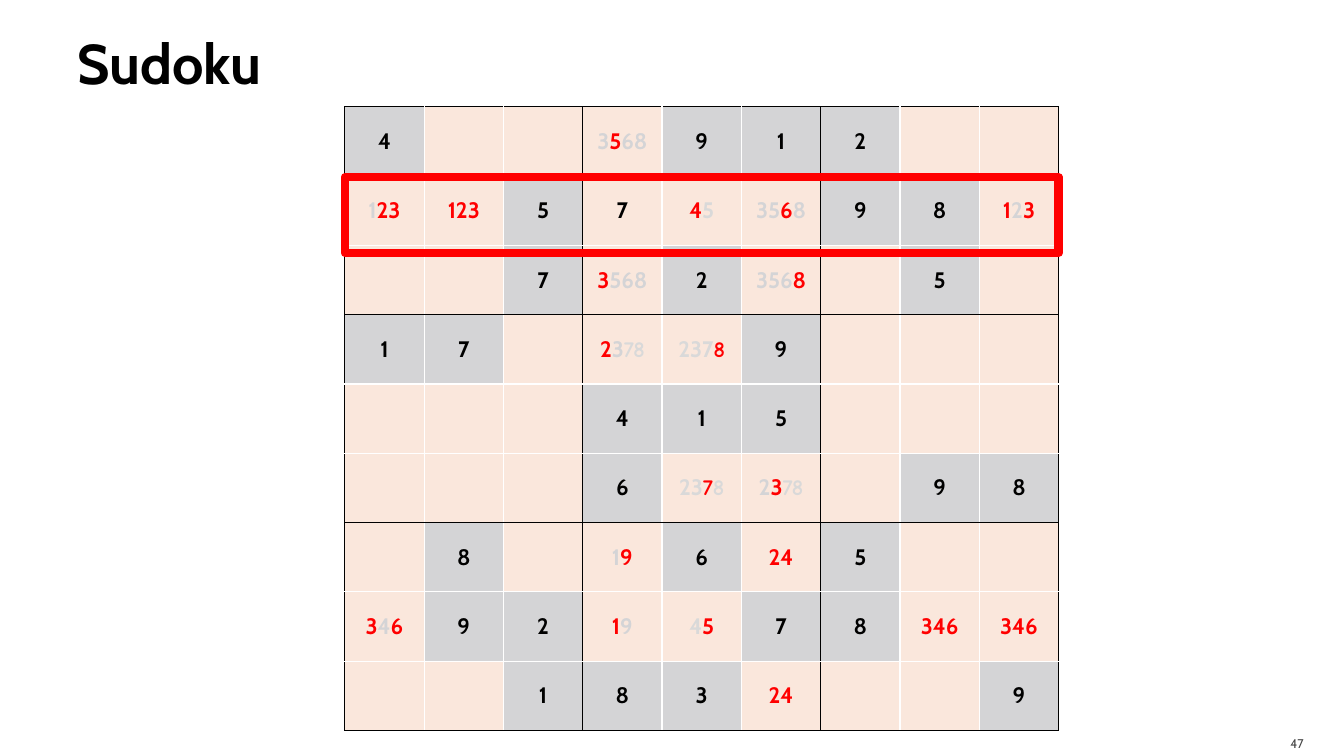
import lxml.etree
import pptx
import pptx.dml.color
import pptx.enum.shapes
import pptx.enum.text
import pptx.oxml.ns
import pptx.util

Inches = pptx.util.Inches
Pt = pptx.util.Pt
ALIGN = pptx.enum.text.PP_ALIGN
MIDDLE = pptx.enum.text.MSO_ANCHOR.MIDDLE

COLORS = {
    "black": "000000",
    "white": "FFFFFF",
    "red": "FF0000",
    "faded": "D4D4D6",
    "pale": "D9D9D9",
    "given": "D4D4D6",
    "open": "FAE7DC",
    "number": "454545",
}

# Each letter starts a run of digits in that font and colour.
RUN_STYLES = {
    "k": ("Cabin", "black"),
    "r": ("Cabin", "red"),
    "g": ("Cabin", "faded"),
    "d": ("Cabin", "pale"),
    "R": ("Comic Neue", "red"),
    "D": ("Comic Neue", "pale"),
}

# "#" marks a given digit on a grey cell, "." an empty cell.
PUZZLE = """
#k4     .     .    g3r5g68  #k9    #k1      #k2  .     .
g1r23   r123  #k5  k7       r4d5   g35r6g8  #k9  #k8   r1g2r3
.       .     #k7  r3g568   #k2    g356r8   .    #k5   .
#k1     #k7   .    r2g3D78  d237R8 #k9      .    .     .
.       .     .    #k4      #k1    #k5      .    .     .
.       .     .    #k6      d23R7D8 g2r3D78 .    #k9   #k8
.       #k8   .    g1r9     #k6    r24      #k5  .     .
r3g4r6  #k9   #k2  r1g9     d4r5   #k7      #k8  r346  r346
.       .     #k1  #k8      #k3    r24      .    .     #k9
"""
GRID = [line.split() for line in PUZZLE.strip().splitlines()]
SIZE = 9
BLOCK = 3


def rgb(name):
    return pptx.dml.color.RGBColor.from_string(COLORS[name])


def add_label(slide, box, text, size, color, bold, align, insets):
    shape = slide.shapes.add_textbox(*[Inches(length) for length in box])
    frame = shape.text_frame
    frame.word_wrap = True
    frame.vertical_anchor = MIDDLE
    (frame.margin_left, frame.margin_top,
     frame.margin_right, frame.margin_bottom) = [Inches(inset) for inset in insets]
    paragraph = frame.paragraphs[0]
    paragraph.text = text
    paragraph.alignment = align
    paragraph.font.name = "Cabin"
    paragraph.font.size = Pt(size)
    paragraph.font.bold = bold
    paragraph.font.color.rgb = rgb(color)


def set_border(cell, side, color):
    properties = cell._tc.get_or_add_tcPr()
    qn = pptx.oxml.ns.qn
    line = lxml.etree.SubElement(properties, qn(f"a:ln{side}"), w=str(Pt(1)))
    fill = lxml.etree.SubElement(line, qn("a:solidFill"))
    lxml.etree.SubElement(fill, qn("a:srgbClr"), val=COLORS[color])


def split_runs(marks):
    runs = []
    for character in marks:
        if character in RUN_STYLES:
            runs.append([character, ""])
        else:
            runs[-1][1] += character
    return runs


def fill_cell(cell, row, column, entry):
    # Black edges around each block, white edges inside it
    edges = {"L": column, "R": column + 1, "T": row, "B": row + 1}
    for side, position in edges.items():
        set_border(cell, side, "white" if position % BLOCK else "black")
    cell.fill.solid()
    cell.fill.fore_color.rgb = rgb("given" if entry.startswith("#") else "open")
    cell.vertical_anchor = MIDDLE

    # Digits
    paragraph = cell.text_frame.paragraphs[0]
    paragraph.alignment = ALIGN.CENTER
    paragraph.font.size = Pt(16)
    paragraph.font.bold = True
    for style, digits in split_runs(entry.strip("#.")):
        run = paragraph.add_run()
        run.text = digits
        run.font.name, color = RUN_STYLES[style]
        run.font.color.rgb = rgb(color)


def add_sudoku(slide, left, top, width, height):
    box = [Inches(length) for length in (left, top, width, height)]
    table = slide.shapes.add_table(SIZE, SIZE, *box).table
    table.first_row = False
    table.horz_banding = False
    for index in range(SIZE):
        table.columns[index].width = Inches(width / SIZE)
        table.rows[index].height = Inches(height / SIZE)
    for row, entries in enumerate(GRID):
        for column, entry in enumerate(entries):
            fill_cell(table.cell(row, column), row, column, entry)

    # Frame around the second row
    frame_height = 0.75
    middle = top + 1.56 * height / SIZE
    frame = slide.shapes.add_shape(
        pptx.enum.shapes.MSO_SHAPE.RECTANGLE, Inches(left),
        Inches(middle - frame_height / 2), Inches(width), Inches(frame_height))
    frame.shadow.inherit = False
    frame.fill.background()
    frame.line.color.rgb = rgb("red")
    frame.line.width = Pt(6)
    line = frame.line._get_or_add_ln()
    lxml.etree.SubElement(line, pptx.oxml.ns.qn("a:round"))


def main():
    presentation = pptx.Presentation()
    presentation.slide_width = Inches(13.33)
    presentation.slide_height = Inches(7.5)
    slide = presentation.slides.add_slide(presentation.slide_layouts[6])

    # Title and slide number
    add_label(slide, (0.67, 0.08, 12, 1.08), "Sudoku", 40, "black", True,
              ALIGN.LEFT, (0.1, 0.05, 0.05, 0.05))
    add_label(slide, (11.96, 7.2, 1.07, 0.3), "47", 9, "number", False,
              ALIGN.RIGHT, (0.1, 0.05, 0.1, 0))

    # Puzzle
    add_sudoku(slide, 3.42, 1.06, 7.08, 6.19)
    presentation.save("out.pptx")


if __name__ == "__main__":
    main()
